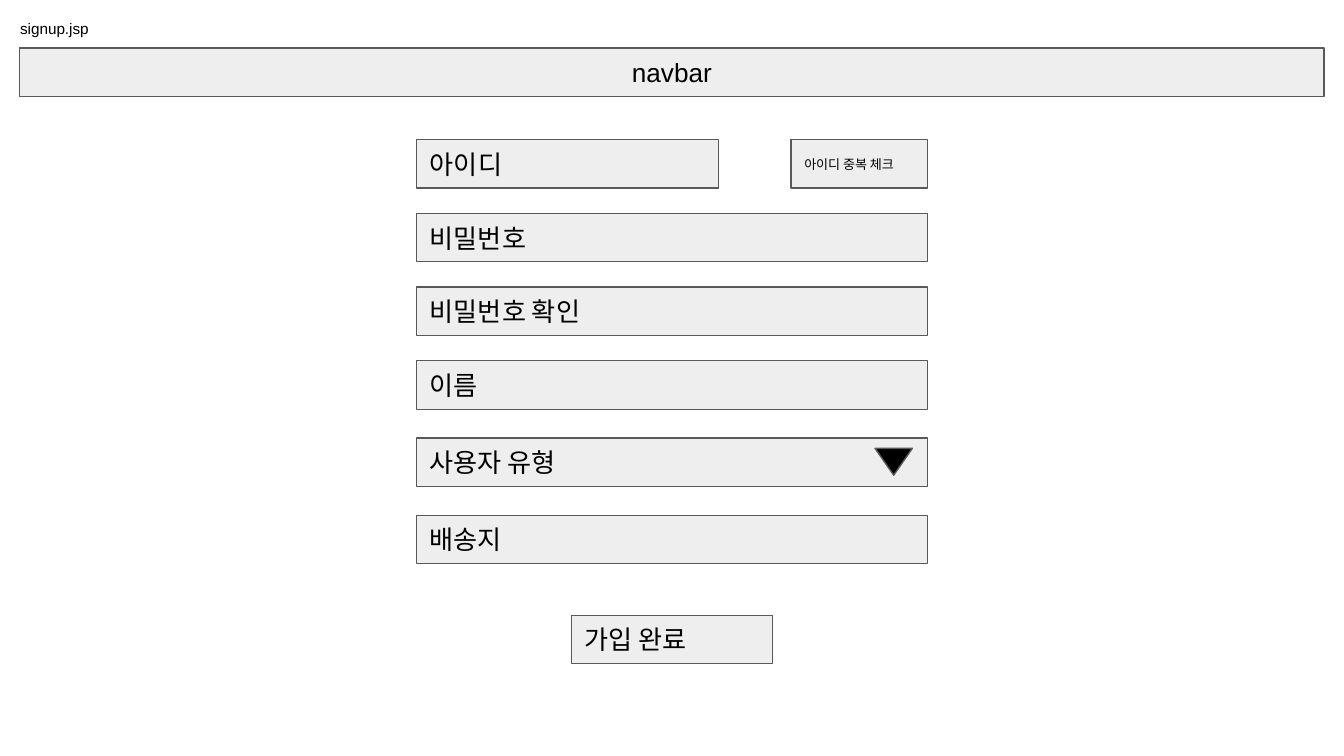
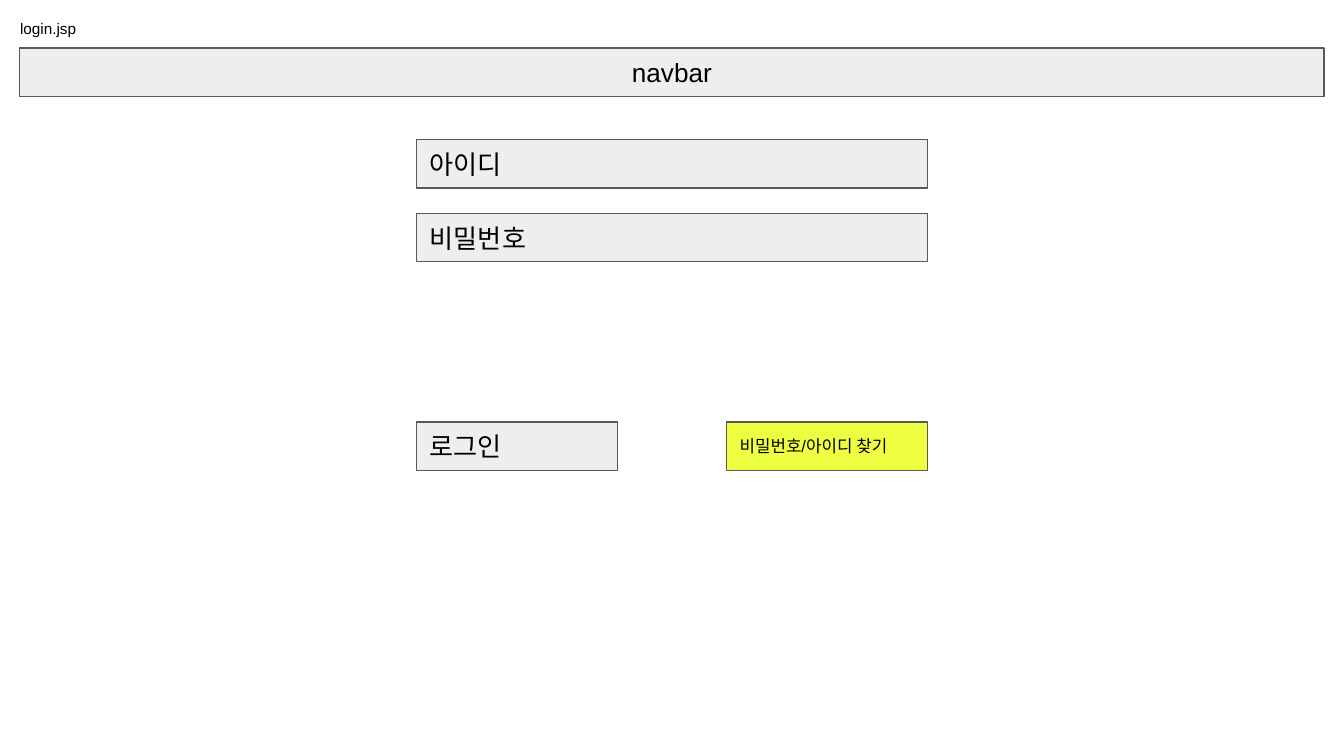
from dataclasses import dataclass

from pptx import Presentation
from pptx.dml.color import RGBColor
from pptx.enum.shapes import MSO_SHAPE as Preset
from pptx.enum.text import MSO_ANCHOR as Anchor, MSO_AUTO_SIZE as AutoSize, PP_ALIGN as Align
from pptx.shapes.autoshape import Shape
from pptx.slide import Slide
from pptx.util import Pt

COLORS = {
    "field": "EEEEEE",
    "highlight": "EEFF41",
    "outline": "595959",
    "ink": "000000",
}
FONT = "Arial"
SLIDE_WIDTH, SLIDE_HEIGHT = 720, 405
TITLE_ONLY = 5
INSET = 7.2
BOX_HEIGHT = 26
FORM_WIDTH = 273.6
FORM_LEFT = (SLIDE_WIDTH - FORM_WIDTH) / 2
FORM_RIGHT = FORM_LEFT + FORM_WIDTH
FORM_TOP, ROW_PITCH = 74.8, 39.5
USER_TYPE_TOP, ADDRESS_TOP = 234.6, 276
BUTTON_WIDTH, CHECK_WIDTH = 107.6, 73


@dataclass(frozen=True)
class Box:
    text: str
    top: float
    left: float = FORM_LEFT
    width: float = FORM_WIDTH
    size: float = 14
    fill: str = "field"
    align: Align = Align.LEFT


@dataclass(frozen=True)
class Page:
    title: str
    boxes: tuple[Box, ...]
    arrow_tops: tuple[float, ...] = ()


def row_top(row: int) -> float:
    return FORM_TOP + row * ROW_PITCH


NAVBAR = Box("navbar", 25.8, 10.6, SLIDE_WIDTH - 2 * 10.6, align=Align.CENTER)
PASSWORD = Box("비밀번호", row_top(1))
PAGES = (
    Page(
        "signup.jsp",
        (
            Box("아이디", row_top(0), width=161.6),
            Box("아이디 중복 체크", row_top(0), FORM_RIGHT - CHECK_WIDTH, CHECK_WIDTH, 7),
            PASSWORD,
            Box("비밀번호 확인", row_top(2)),
            Box("이름", row_top(3)),
            Box("사용자 유형", USER_TYPE_TOP),
            Box("배송지", ADDRESS_TOP),
            Box("가입 완료", 329.6, (SLIDE_WIDTH - BUTTON_WIDTH) / 2, BUTTON_WIDTH),
        ),
        arrow_tops=(USER_TYPE_TOP + 5.6,),
    ),
    Page(
        "login.jsp",
        (
            Box("아이디", row_top(0)),
            PASSWORD,
            Box("로그인", 226, width=BUTTON_WIDTH),
            Box("비밀번호/아이디 찾기", 226, FORM_RIGHT - BUTTON_WIDTH, BUTTON_WIDTH, 9, "highlight"),
        ),
    ),
)


def color(name: str) -> RGBColor:
    return RGBColor.from_string(COLORS[name])


def write(shape: Shape, text: str, size: float, anchor: Anchor, align: Align) -> None:
    frame = shape.text_frame
    frame.word_wrap = True
    frame.auto_size = AutoSize.NONE
    frame.vertical_anchor = anchor
    frame.margin_left = frame.margin_right = Pt(INSET)
    frame.margin_top = frame.margin_bottom = Pt(INSET)
    paragraph = frame.paragraphs[0]
    paragraph.alignment = align
    run = paragraph.add_run()
    run.text = text
    run.font.name = FONT
    run.font.size = Pt(size)
    run.font.color.rgb = color("ink")


def add_outlined(
    slide: Slide, preset: Preset, left: float, top: float, width: float, height: float, fill: str
) -> Shape:
    shape = slide.shapes.add_shape(preset, Pt(left), Pt(top), Pt(width), Pt(height))
    shape.shadow.inherit = False
    shape.fill.solid()
    shape.fill.fore_color.rgb = color(fill)
    shape.line.color.rgb = color("outline")
    shape.line.width = Pt(0.75)
    return shape


def add_box(slide: Slide, box: Box) -> None:
    shape = add_outlined(slide, Preset.RECTANGLE, box.left, box.top, box.width, BOX_HEIGHT, box.fill)
    write(shape, box.text, box.size, Anchor.MIDDLE, box.align)


def set_title(slide: Slide, text: str) -> None:
    title = slide.shapes.title
    title.left, title.top, title.width, title.height = Pt(3.6), Pt(2.9), Pt(73), Pt(22.3)
    write(title, text, 8.2, Anchor.TOP, Align.LEFT)


def main() -> None:
    presentation = Presentation()
    presentation.slide_width, presentation.slide_height = Pt(SLIDE_WIDTH), Pt(SLIDE_HEIGHT)
    for page in PAGES:
        slide = presentation.slides.add_slide(presentation.slide_layouts[TITLE_ONLY])
        set_title(slide, page.title)
        for box in (NAVBAR, *page.boxes):
            add_box(slide, box)
        for top in page.arrow_tops:
            add_outlined(slide, Preset.FLOWCHART_MERGE, FORM_RIGHT - 28, top, 20, 14.4, "ink")
    presentation.save("out.pptx")


if __name__ == "__main__":
    main()
